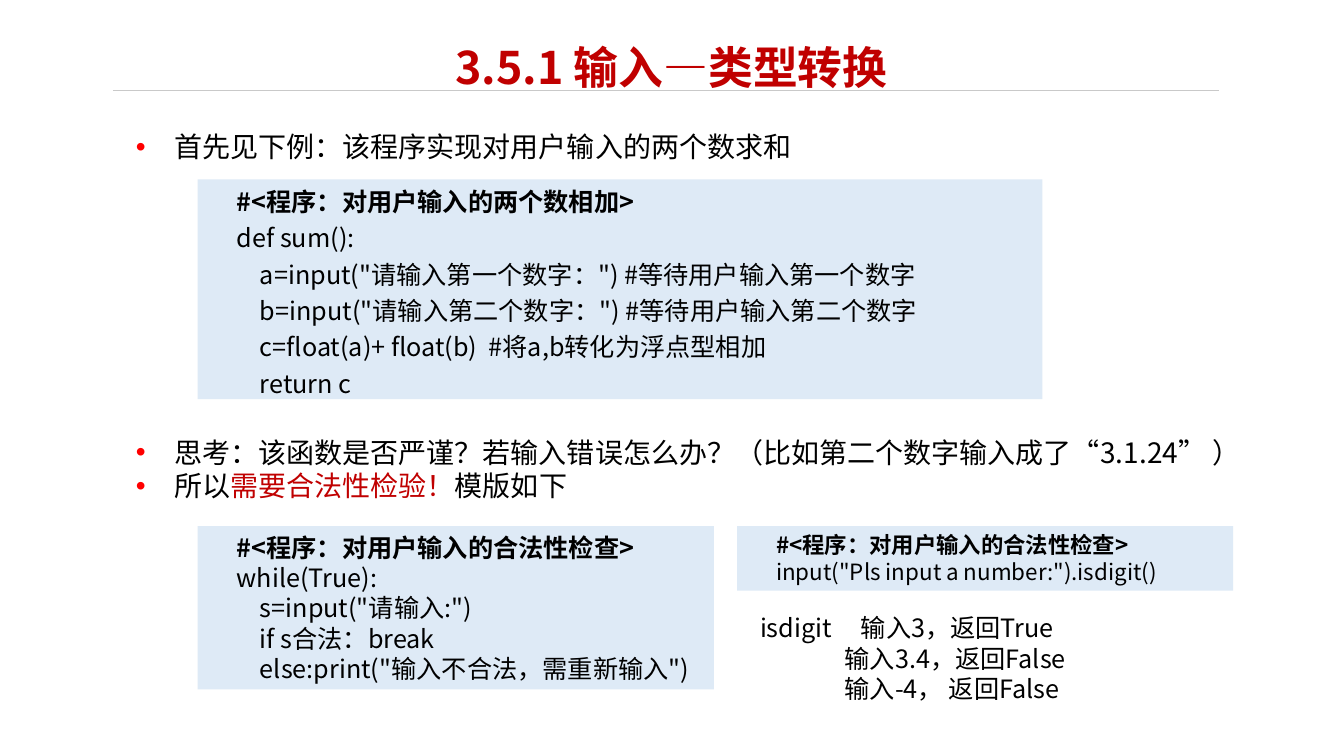
import dataclasses
import pptx
import pptx.util
import pptx.dml.color
import pptx.enum.shapes
import pptx.enum.text
import pptx.oxml.ns
from lxml import etree

Inches = pptx.util.Inches
Align = pptx.enum.text.PP_ALIGN
Anchor = pptx.enum.text.MSO_ANCHOR


@dataclasses.dataclass(frozen=True)
class Theme:
    face: str = "Noto Sans CJK SC"
    ink: str = "000000"
    red: str = "C00000"
    dot: str = "FF0000"
    panel: str = "DEEAF6"
    rule: str = "C9C9C9"
    title: int = 32
    body: int = 20
    code: int = 18
    small: int = 16


THEME = Theme()
SUM = [
    (0, "#<程序：对用户输入的两个数相加>"),
    (0, "def sum():"),
    (1, 'a=input("请输入第一个数字：") #等待用户输入第一个数字'),
    (1, 'b=input("请输入第二个数字：") #等待用户输入第二个数字'),
    (1, "c=float(a)+ float(b)  #将a,b转化为浮点型相加"),
    (1, "return c"),
]
CHECK = [
    (0, "#<程序：对用户输入的合法性检查>"),
    (0, "while(True):"),
    (1, 's=input("请输入:")'),
    (1, "if s合法：break"),
    (1, 'else:print("输入不合法，需重新输入")'),
]
DIGIT = [
    (0, "#<程序：对用户输入的合法性检查>"),
    (0, 'input("Pls input a number:").isdigit()'),
]


def color(code):
    return pptx.dml.color.RGBColor.from_string(code)


def node(parent, tag, **attrs):
    return etree.SubElement(parent, pptx.oxml.ns.qn(tag), **attrs)


def style(para, size, tint=THEME.ink, bold=False):
    font = para.font
    font.name = THEME.face
    font.size = pptx.util.Pt(size)
    font.bold = bold
    font.color.rgb = color(tint)
    props = para._p.get_or_add_pPr().find(pptx.oxml.ns.qn("a:defRPr"))
    node(props, "a:ea", typeface=THEME.face)


def indent(para, first, left=0):
    props = para._p.get_or_add_pPr()
    props.set("marL", str(Inches(left)))
    props.set("indent", str(Inches(first)))
    return props


def lines(frame, count):
    for _ in range(count - 1):
        frame.add_paragraph()
    return frame.paragraphs


def text_box(slide, box):
    frame = slide.shapes.add_textbox(*map(Inches, box)).text_frame
    frame.word_wrap = True
    return frame


def title(slide, text):
    frame = text_box(slide, (2.35, 0.34, 8.62, 0.71))
    frame.vertical_anchor = Anchor.MIDDLE
    para = frame.paragraphs[0]
    para.text = text
    para.alignment = Align.CENTER
    para.line_spacing = 0.9
    style(para, THEME.title, THEME.red, True)


def rule(slide):
    kind = pptx.enum.shapes.MSO_CONNECTOR.STRAIGHT
    ends = map(Inches, (1.12, 0.9, 12.09, 0.9))
    line = slide.shapes.add_connector(kind, *ends)
    line.line.color.rgb = color(THEME.rule)
    line.line.width = pptx.util.Pt(1)
    node(line._element.spPr, "a:effectLst")


def bullets(slide, box, items):
    frame = text_box(slide, box)
    for para, parts in zip(lines(frame, len(items)), items):
        for text, tint in parts:
            run = para.add_run()
            run.text = text
            if tint != THEME.ink:
                run.font.color.rgb = color(tint)
        props = indent(para, -0.38, 0.38)
        tone = node(props, "a:buClr")
        node(tone, "a:srgbClr", val=THEME.dot)
        node(props, "a:buFont", typeface="Arial")
        node(props, "a:buChar", char="•")
        style(para, THEME.body)


def code(slide, box, rows, size, gap=1.0):
    kind = pptx.enum.shapes.MSO_SHAPE.RECTANGLE
    panel = slide.shapes.add_shape(kind, *map(Inches, box))
    panel.shadow.inherit = False
    panel.fill.solid()
    panel.fill.fore_color.rgb = color(THEME.panel)
    panel.line.fill.background()
    frame = panel.text_frame
    frame.word_wrap = True
    frame.vertical_anchor = Anchor.MIDDLE
    for i, (para, row) in enumerate(zip(lines(frame, len(rows)), rows)):
        depth, para.text = row
        para.alignment = Align.JUSTIFY
        para.line_spacing = gap
        indent(para, 0.29 + 0.23 * depth)
        style(para, size, bold=i == 0)


def results(slide):
    rows = ["isdigit\t输入3，返回True", "输入3.4，返回False", "输入-4， 返回False"]
    frame = text_box(slide, (7.44, 6.03, 4.68, 1.01))
    for i, (para, text) in enumerate(zip(lines(frame, len(rows)), rows)):
        para.text = text
        props = indent(para, 0.84 if i else 0)
        if i == 0:
            tabs = node(props, "a:tabLst")
            node(tabs, "a:tab", pos=str(Inches(1.05)), algn="l")
        style(para, THEME.code)


def main():
    deck = pptx.Presentation()
    deck.slide_width, deck.slide_height = Inches(13.33), Inches(7.5)
    slide = deck.slides.add_slide(deck.slide_layouts[6])
    rule(slide)
    title(slide, "3.5.1 输入—类型转换")
    ink = THEME.ink
    bullets(slide, (1.25, 1.24, 11.42, 0.44), [
        [("首先见下例：该程序实现对用户输入的两个数求和", ink)],
    ])
    bullets(slide, (1.25, 4.27, 11.42, 0.77), [
        [("思考：该函数是否严谨？若输入错误怎么办？（比如第二个数字输入成了“3.1.24” ）", ink)],
        [("所以", ink), ("需要合法性检验！", THEME.red), ("模版如下", ink)],
    ])
    code(slide, (1.96, 1.78, 8.38, 2.18), SUM, THEME.code, 1.2)
    code(slide, (1.96, 5.22, 5.12, 1.62), CHECK, THEME.code)
    code(slide, (7.31, 5.22, 4.92, 0.64), DIGIT, THEME.small)
    results(slide)
    deck.save("out.pptx")


if __name__ == "__main__":
    main()
